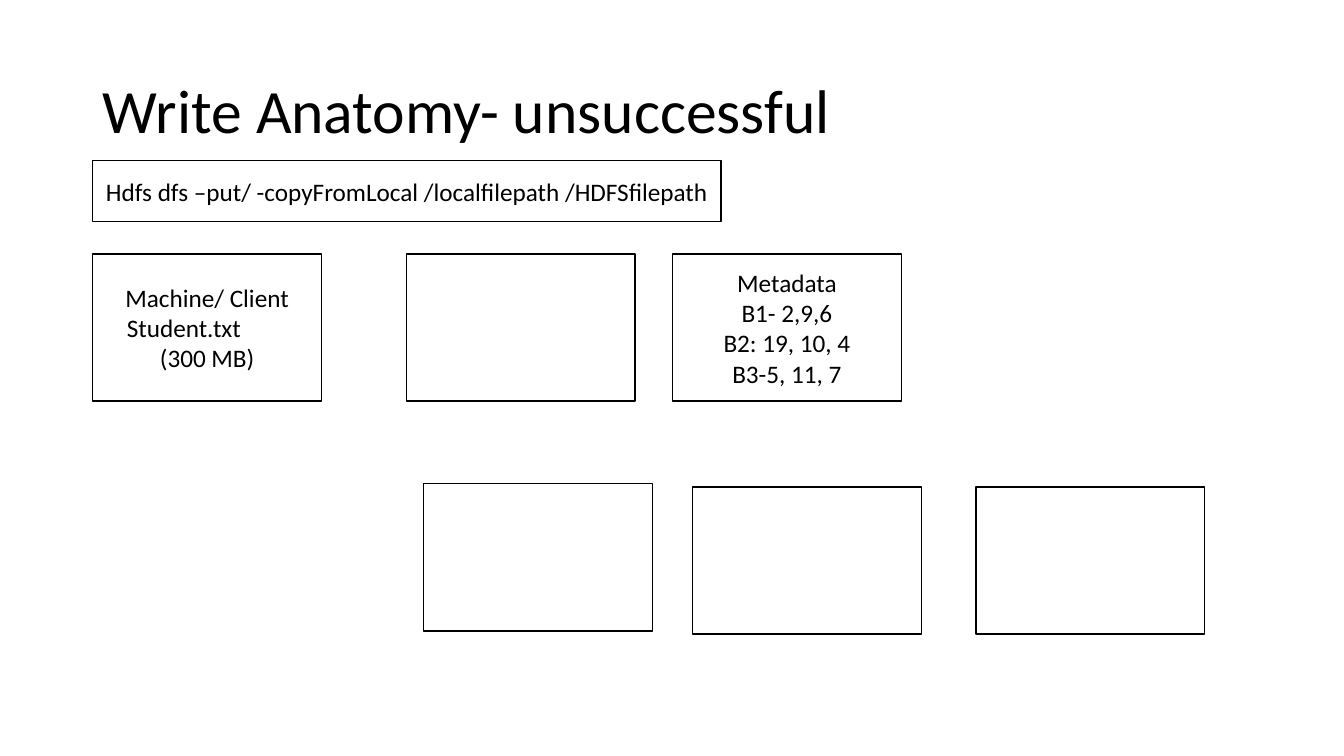
"""Build the slide on an unsuccessful HDFS write."""
from dataclasses import dataclass

from pptx import Presentation
from pptx.dml.color import RGBColor
from pptx.enum.shapes import MSO_SHAPE
from pptx.enum.text import MSO_ANCHOR, MSO_AUTO_SIZE, PP_ALIGN
from pptx.util import Inches, Pt

FRAME = {"word_wrap": True, "auto_size": MSO_AUTO_SIZE.NONE,
         "vertical_anchor": MSO_ANCHOR.MIDDLE}
LEFT, WIDE, HIGH = 0.92, 2.27, 1.46
TOP, LOW = 2.52, 4.83


@dataclass(frozen=True)
class Box:
    """A bordered box, its place in inches and its lines of text."""
    left: float
    top: float
    lines: tuple[str, ...] = ()
    width: float = WIDE
    height: float = HIGH


BOXES = (
    Box(LEFT, 1.59, ("Hdfs dfs –put/ -copyFromLocal /localfilepath /HDFSfilepath",),
        6.23, 0.61),
    Box(LEFT, TOP, ("Machine/ Client", "Student.txt", "(300 MB)")),
    Box(4.03, TOP),
    Box(9.68, LOW),
    Box(6.87, LOW),
    Box(4.2, 4.8),
    Box(6.67, TOP, ("Metadata", "B1- 2,9,6", "B2: 19, 10, 4", "B3-5, 11, 7")),
)


def color(code: str) -> RGBColor:
    """Turn a hex string into a colour."""
    return RGBColor.from_string(code)


def apply(target, form: dict) -> None:
    """Set each attribute in a dict of format values."""
    for name, value in form.items():
        setattr(target, name, value)


def style(para, size: int, align: PP_ALIGN) -> None:
    """Format one paragraph and its font."""
    para.alignment = align
    apply(para.font, {"size": Pt(size), "name": "Calibri"})
    para.font.color.rgb = color("000000")


def draw_title(slide, text: str) -> None:
    """Place and format the title."""
    title = slide.shapes.title
    apply(title, {"left": Inches(LEFT), "top": Inches(0.4),
                  "width": Inches(11.5), "height": Inches(1.45)})
    apply(title.text_frame, FRAME)
    title.text_frame.text = text
    para = title.text_frame.paragraphs[0]
    style(para, 44, PP_ALIGN.LEFT)
    para.line_spacing = 0.9


def draw_box(slide, box: Box) -> None:
    """Draw a box with its lines, setting the file name to the left."""
    shape = slide.shapes.add_shape(
        MSO_SHAPE.RECTANGLE, Inches(box.left), Inches(box.top),
        Inches(box.width), Inches(box.height))
    shape.shadow.inherit = False
    shape.fill.solid()
    shape.fill.fore_color.rgb = color("FFFFFF")
    shape.line.color.rgb = color("000000")
    shape.line.width = Pt(1)
    frame = shape.text_frame
    apply(frame, FRAME)
    frame.text = "\n".join(box.lines)
    for para in frame.paragraphs:
        named = para.text == "Student.txt"
        if named:
            para._p.get_or_add_pPr().set("marL", str(Inches(0.24)))
        style(para, 18, PP_ALIGN.LEFT if named else PP_ALIGN.CENTER)


def main() -> None:
    """Build and save the deck."""
    deck = Presentation()
    apply(deck, {"slide_width": Inches(13.33), "slide_height": Inches(7.5)})
    slide = deck.slides.add_slide(deck.slide_layouts[5])
    draw_title(slide, "Write Anatomy- unsuccessful")
    for box in BOXES:
        draw_box(slide, box)
    deck.save("out.pptx")


if __name__ == "__main__":
    main()
